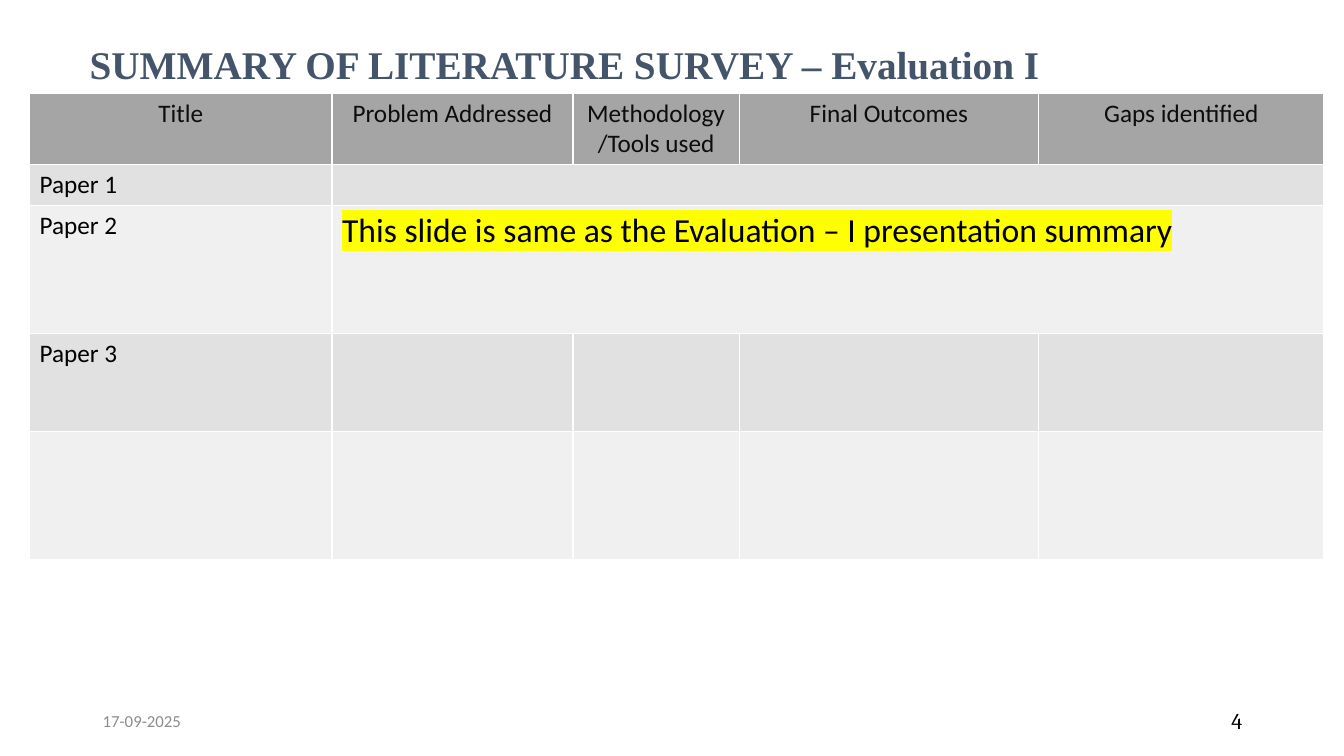
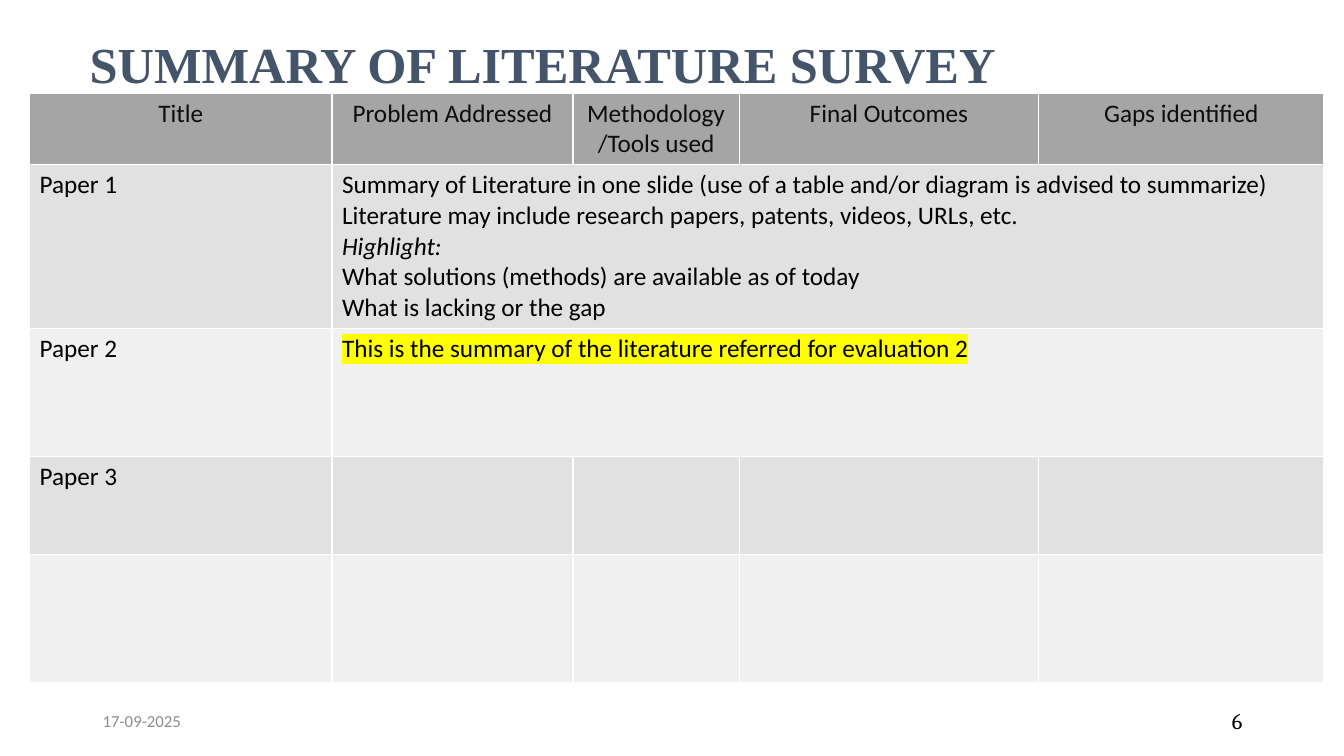
"""Build two literature survey slides, each a titled table with a date and a page number."""
from dataclasses import dataclass

from lxml.etree import SubElement
from pptx import Presentation
from pptx.dml.color import RGBColor as RGB
from pptx.enum.text import MSO_ANCHOR as Anchor, PP_ALIGN as Align
from pptx.oxml.ns import qn
from pptx.util import Inches, Pt


@dataclass(frozen=True)
class Theme:
    title: str = "44546A"
    heading: str = "0D0D0D"
    body: str = "000000"
    muted: str = "8C8C8C"
    head_fill: str = "A5A5A5"
    bands: tuple = ("E1E1E1", "F0F0F0")
    border: str = "FFFFFF"
    mark: str = "FFFF00"
    title_font: str = "Times New Roman"
    body_font: str = "Calibri"
    page_font: str = "Cambria"
    cell_size: int = 18
    page_size: int = 16
    date_size: int = 12


T = Theme()
prs = Presentation()
prs.slide_width, prs.slide_height = Inches(13.33), Inches(7.5)
UX, UY = prs.slide_width / 100, prs.slide_height / 100

TITLE_BOX = (5.93, 2, 86.27, 13.73)
DATE_BOX = (6.9, 92.67, 22.5, 5.33)
PAGE_BOX = (70.67, 92.67, 22.5, 5.33)
TABLE_LEFT, TABLE_TOP = 2.2, 12.3
COLS = (22.5, 17.93, 12.38, 22.28, 21.23)
HEADINGS = ("Title", "Problem Addressed", "Methodology/Tools used", "Final Outcomes", "Gaps identified")
LABELS = ("Paper 1", "Paper 2", "Paper 3")
MERGED_ROWS = (1, 2)

SLIDES = [
    dict(title="SUMMARY OF LITERATURE SURVEY – Evaluation I", title_size=28, page="4",
         first_row=5.4, mark_size=24, notes=[],
         marked="This slide is same as the Evaluation – I presentation summary"),
    dict(title="SUMMARY OF LITERATURE SURVEY", title_size=36, page="6",
         first_row=21.7, mark_size=T.cell_size,
         notes=["Summary of Literature in one slide (use of a table and/or diagram is advised to summarize)",
                "Literature may include research papers, patents, videos, URLs, etc.",
                "Highlight:",
                "What solutions (methods) are available as of today",
                "What is lacking or the gap"],
         marked="This is the summary of the literature referred for evaluation 2"),
]


def write(tf, lines, size, color, font, align=Align.LEFT, bold=False, mark=None):
    for i, line in enumerate(lines):
        p = tf.paragraphs[0] if i == 0 else tf.add_paragraph()
        p.alignment = align
        r = p.add_run()
        r.text = line
        r.font.size, r.font.bold = Pt(size), bold
        r.font.italic = line == "Highlight:"
        r.font.color.rgb = RGB.from_string(color)
        if mark:
            highlight = SubElement(r._r.get_or_add_rPr(), qn("a:highlight"))
            SubElement(highlight, qn("a:srgbClr"), val=mark)
        r.font.name = font


def add_text(s, box, text, size, color, font, **style):
    left, top, width, height = box
    tf = s.shapes.add_textbox(int(left * UX), int(top * UY), int(width * UX), int(height * UY)).text_frame
    tf.word_wrap, tf.vertical_anchor = True, Anchor.MIDDLE
    write(tf, [text], size, color, font, **style)
    return tf


for page in SLIDES:
    s = prs.slides.add_slide(prs.slide_layouts[6])
    tf = add_text(s, TITLE_BOX, page["title"], page["title_size"], T.title, T.title_font, bold=True)
    tf.paragraphs[0].line_spacing = 0.9

    rows = (9.47, page["first_row"], 16.93, 13, 16.93)
    table = s.shapes.add_table(len(rows), len(COLS), int(TABLE_LEFT * UX), int(TABLE_TOP * UY),
                               int(sum(COLS) * UX), int(sum(rows) * UY)).table
    for col, share in zip(table.columns, COLS):
        col.width = int(share * UX)
    for i, share in enumerate(rows):
        table.rows[i].height = int(share * UY)
        fill = T.bands[(i - 1) % 2] if i else T.head_fill
        for cell in table.rows[i].cells:
            for side in ("a:lnL", "a:lnR", "a:lnT", "a:lnB"):
                ln = SubElement(cell._tc.get_or_add_tcPr(), qn(side), w=str(Pt(1)))
                SubElement(SubElement(ln, qn("a:solidFill")), qn("a:srgbClr"), val=T.border)
            cell.fill.solid()
            cell.fill.fore_color.rgb = RGB.from_string(fill)
    for i in MERGED_ROWS:
        table.cell(i, 1).merge(table.cell(i, len(COLS) - 1))

    for j, heading in enumerate(HEADINGS):
        write(table.cell(0, j).text_frame, [heading], T.cell_size, T.heading, T.body_font, Align.CENTER)
    for i, label in enumerate(LABELS, 1):
        write(table.cell(i, 0).text_frame, [label], T.cell_size, T.body, T.body_font)
    write(table.cell(1, 1).text_frame, page["notes"], T.cell_size, T.body, T.body_font)
    write(table.cell(2, 1).text_frame, [page["marked"]], page["mark_size"], T.body, T.body_font, mark=T.mark)

    add_text(s, PAGE_BOX, page["page"], T.page_size, T.body, T.page_font, align=Align.RIGHT)
    add_text(s, DATE_BOX, "17-09-2025", T.date_size, T.muted, T.body_font)

prs.save("out.pptx")
